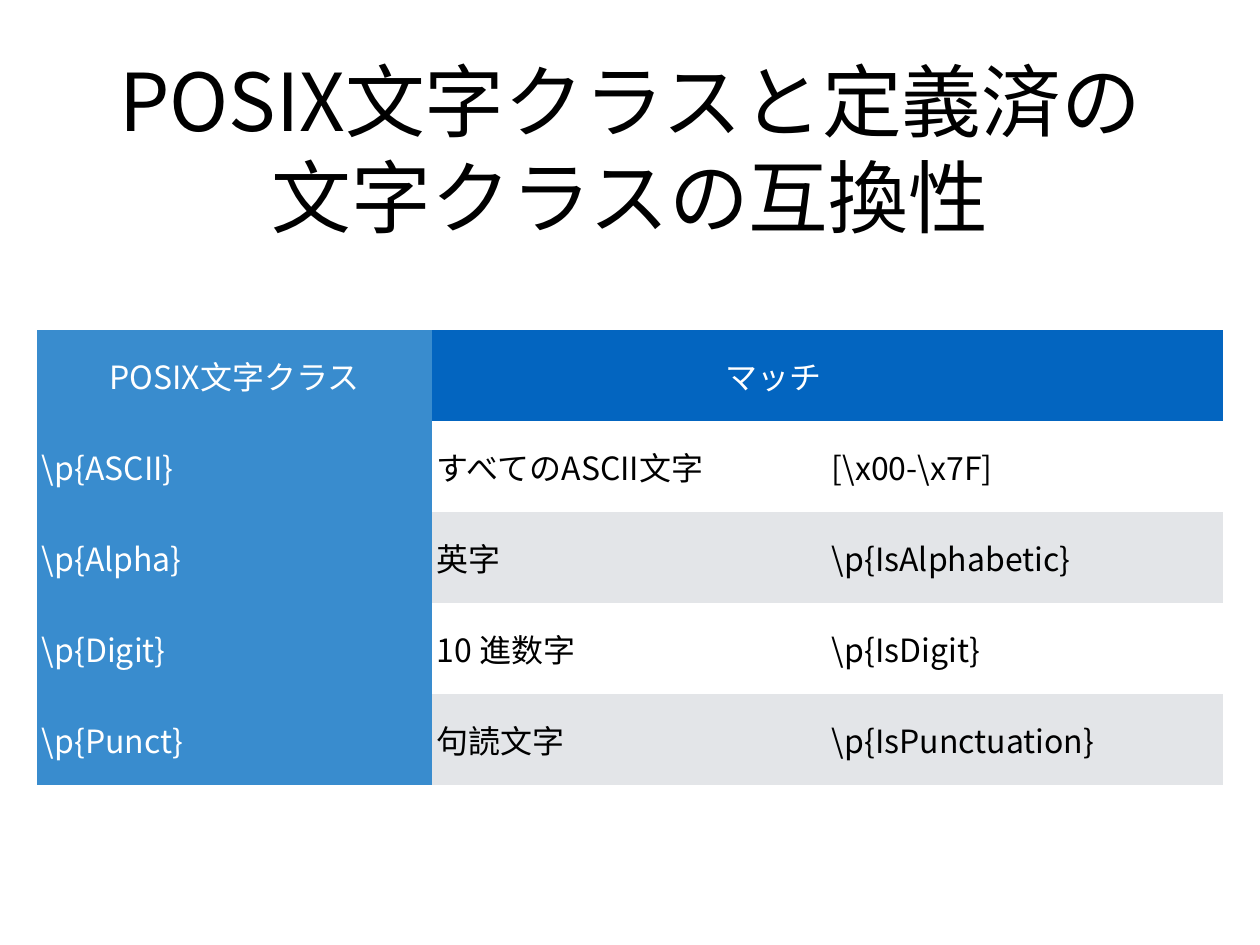
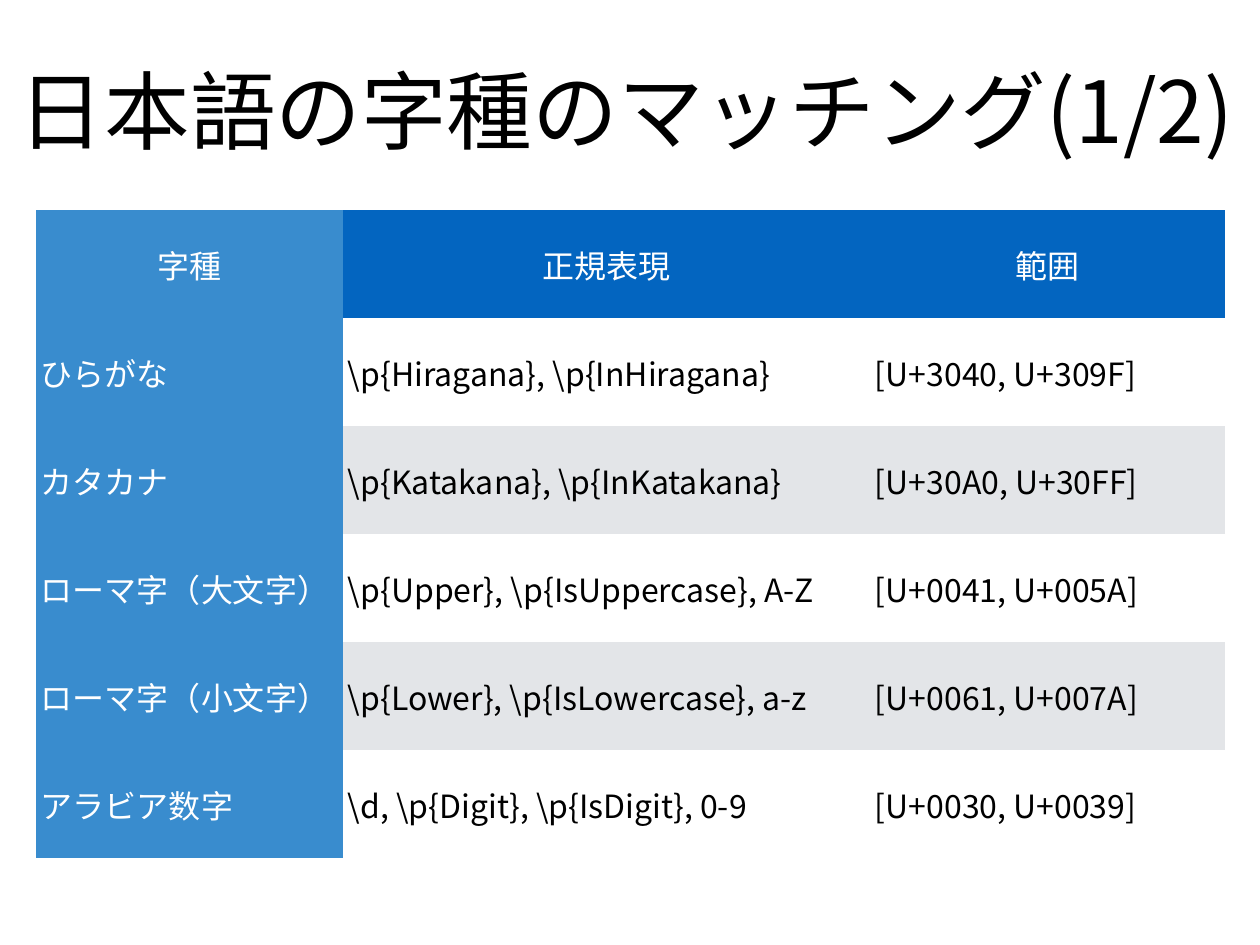
from lxml import etree
from pptx import Presentation
from pptx.dml.color import RGBColor
from pptx.enum.text import MSO_ANCHOR, PP_ALIGN
from pptx.oxml.ns import qn
from pptx.util import Pt

PX = 10321
SLIDE_WIDTH, SLIDE_HEIGHT = 1260, 945
INSET = 5
FONT = "Noto Sans CJK JP"
TABLE_SIZE = 26
PLAIN_TABLE_STYLE = "{2D5ABB26-0587-4C30-8999-92F81FD0307C}"
MIDDLE = MSO_ANCHOR.MIDDLE
LEFT, CENTER, RIGHT = PP_ALIGN.LEFT, PP_ALIGN.CENTER, PP_ALIGN.RIGHT

COLORS = {
    "ink": "000000",
    "paper": "FFFFFF",
    "header": "0365C0",
    "first_column": "398CCE",
    "band": "E3E5E8",
}
MARGINS = {
    f"margin_{side}": INSET * PX for side in ("left", "top", "right", "bottom")
}

SLIDES = [
    {
        "title": "POSIX文字クラスと定義済の文字クラスの互換性",
        "title_box": (92, 43, 1076, 209),
        "title_size": 64.8,
        "table_origin": (37, 330),
        "columns": (395, 395, 396),
        "row_height": 91,
        "header_alignments": (CENTER, RIGHT, CENTER),
        "rows": [
            ("POSIX文字クラス", "マッチ", ""),
            (r"\p{ASCII}", "すべてのASCII文字", r"[\x00-\x7F]"),
            (r"\p{Alpha}", "英字", r"\p{IsAlphabetic}"),
            (r"\p{Digit}", "10 進数字", r"\p{IsDigit}"),
            (r"\p{Punct}", "句読文字", r"\p{IsPunctuation}"),
        ],
    },
    {
        "title": "日本語の字種のマッチング(1/2)",
        "title_box": (-4, 43, 1260, 132),
        "title_size": 69.6,
        "table_origin": (36, 210),
        "columns": (307, 527, 355),
        "row_height": 108,
        "header_alignments": (CENTER, CENTER, CENTER),
        "rows": [
            ("字種", "正規表現", "範囲"),
            ("ひらがな", r"\p{Hiragana}, \p{InHiragana}", "[U+3040, U+309F]"),
            ("カタカナ", r"\p{Katakana}, \p{InKatakana}", "[U+30A0, U+30FF]"),
            ("ローマ字（大文字）", r"\p{Upper}, \p{IsUppercase}, A-Z", "[U+0041, U+005A]"),
            ("ローマ字（小文字）", r"\p{Lower}, \p{IsLowercase}, a-z", "[U+0061, U+007A]"),
            ("アラビア数字", r"\d, \p{Digit}, \p{IsDigit}, 0-9", "[U+0030, U+0039]"),
        ],
    },
]


def rgb(name):
    """Return the named colour."""
    return RGBColor.from_string(COLORS[name])


def set_attributes(target, values):
    """Set every attribute in the dict on the target."""
    for name, value in values.items():
        setattr(target, name, value)


def write_text(frame, text, size, color, alignment):
    """Write one run with the shared font for Latin and Japanese letters."""
    paragraph = frame.paragraphs[0]
    paragraph.alignment = alignment
    run = paragraph.add_run()
    run.text = text
    set_attributes(run.font, {"size": Pt(size), "name": FONT})
    run.font.color.rgb = rgb(color)
    east_asian = etree.SubElement(run.font._element, qn("a:ea"))
    east_asian.set("typeface", FONT)


def add_title(slide, box, text, size):
    """Place a centred title in its box."""
    title = slide.shapes.add_textbox(*(length * PX for length in box))
    frame = title.text_frame
    set_attributes(frame, {"word_wrap": True, "vertical_anchor": MIDDLE, **MARGINS})
    write_text(frame, text, size, "ink", CENTER)


def cell_colors(row, column):
    """Return the fill and text colours for a table position."""
    if column == 0:
        return "first_column", "paper"
    if row == 0:
        return "header", "paper"
    return ("paper" if row % 2 else "band"), "ink"


def add_class_table(slide, origin, columns, row_height, rows, header_alignments):
    """Place a table with a header row, a first column and banded rows."""
    left, top = origin
    box = (left, top, sum(columns), row_height * len(rows))
    frame = slide.shapes.add_table(
        len(rows), len(columns), *(length * PX for length in box)
    )
    for style in frame._element.iter(qn("a:tableStyleId")):
        style.text = PLAIN_TABLE_STYLE
    table = frame.table
    set_attributes(table, {"first_col": True, "horz_banding": True})
    for column, width in zip(table.columns, columns):
        column.width = width * PX
    for row_index, texts in enumerate(rows):
        table.rows[row_index].height = row_height * PX
        for column_index, text in enumerate(texts):
            cell = table.cell(row_index, column_index)
            fill, ink = cell_colors(row_index, column_index)
            cell.fill.solid()
            cell.fill.fore_color.rgb = rgb(fill)
            set_attributes(cell, {"vertical_anchor": MIDDLE, **MARGINS})
            alignment = LEFT if row_index else header_alignments[column_index]
            if text:
                write_text(cell.text_frame, text, TABLE_SIZE, ink, alignment)


def add_table_slide(presentation, content):
    """Add a slide with a title above a table."""
    slide = presentation.slides.add_slide(presentation.slide_layouts[6])
    slide.background.fill.solid()
    slide.background.fill.fore_color.rgb = rgb("paper")
    add_title(slide, content["title_box"], content["title"], content["title_size"])
    add_class_table(
        slide,
        content["table_origin"],
        content["columns"],
        content["row_height"],
        content["rows"],
        content["header_alignments"],
    )


def main():
    """Build and save the presentation."""
    presentation = Presentation()
    set_attributes(
        presentation,
        {"slide_width": SLIDE_WIDTH * PX, "slide_height": SLIDE_HEIGHT * PX},
    )
    for content in SLIDES:
        add_table_slide(presentation, content)
    presentation.save("out.pptx")


if __name__ == "__main__":
    main()
